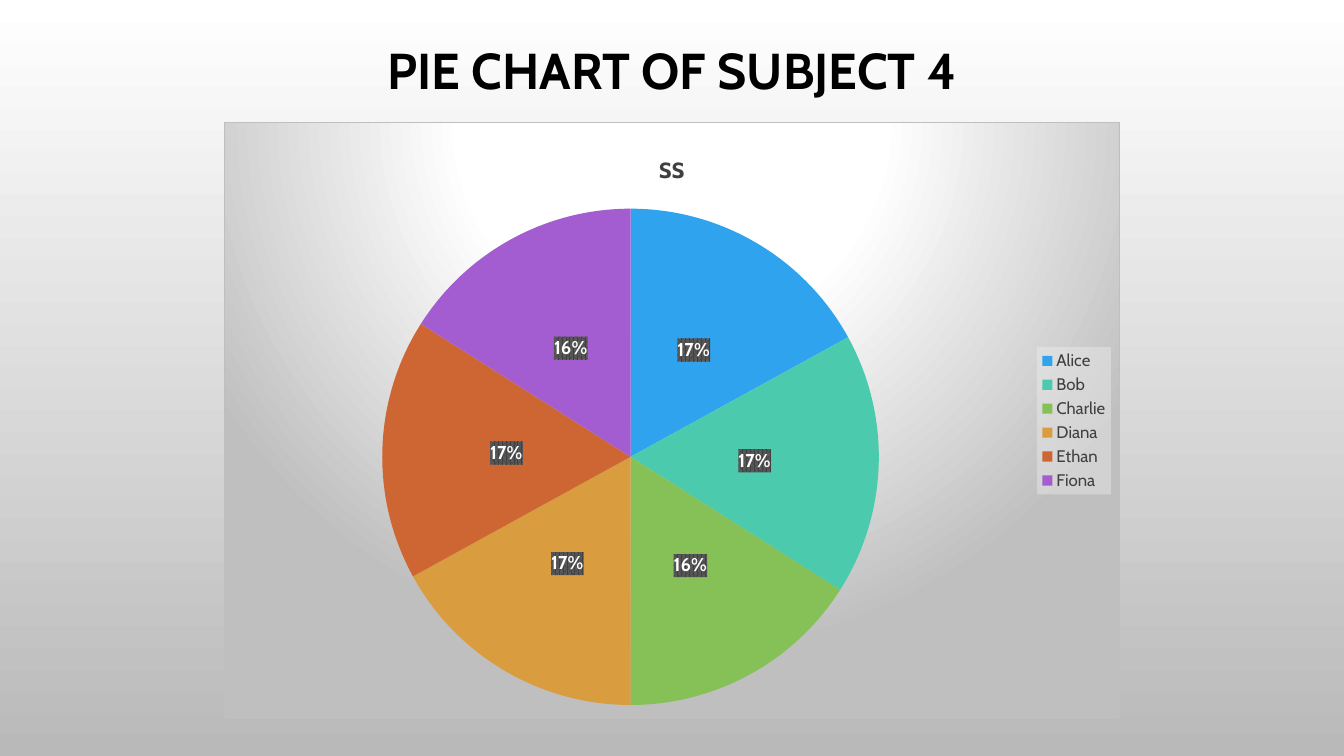
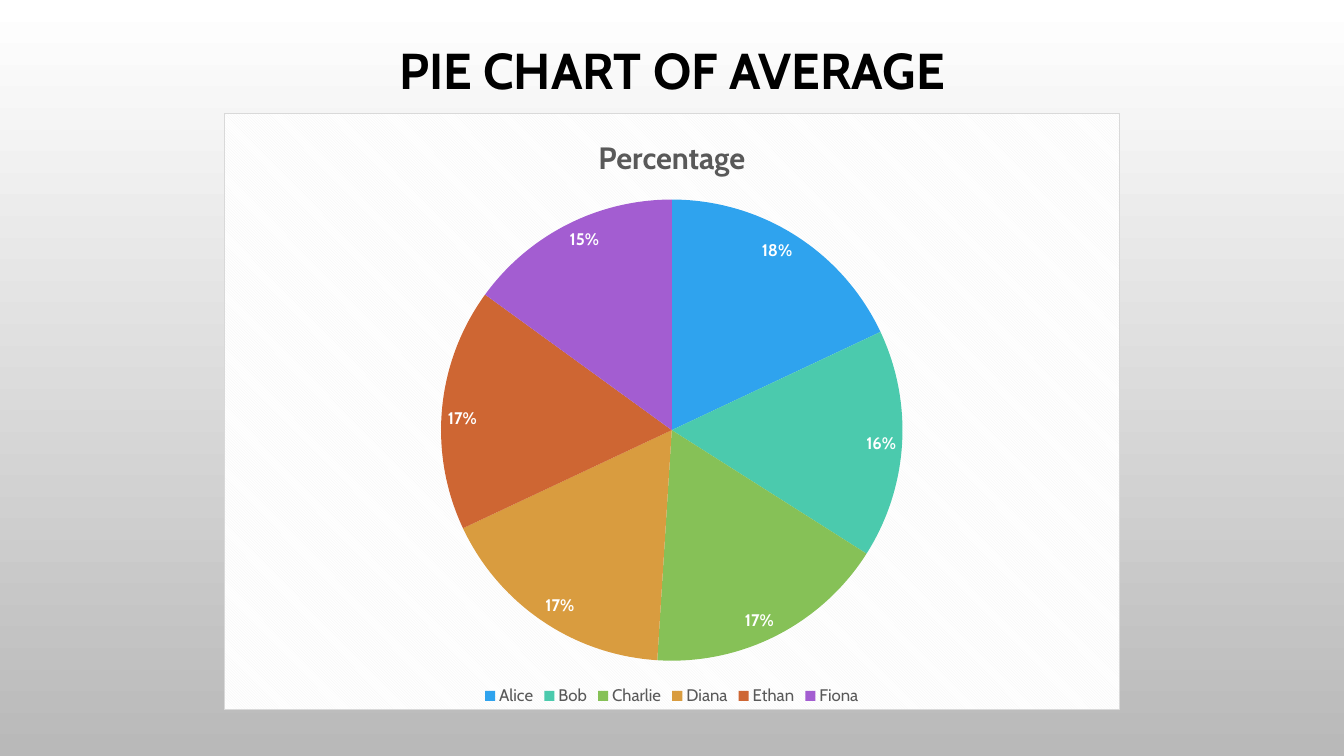
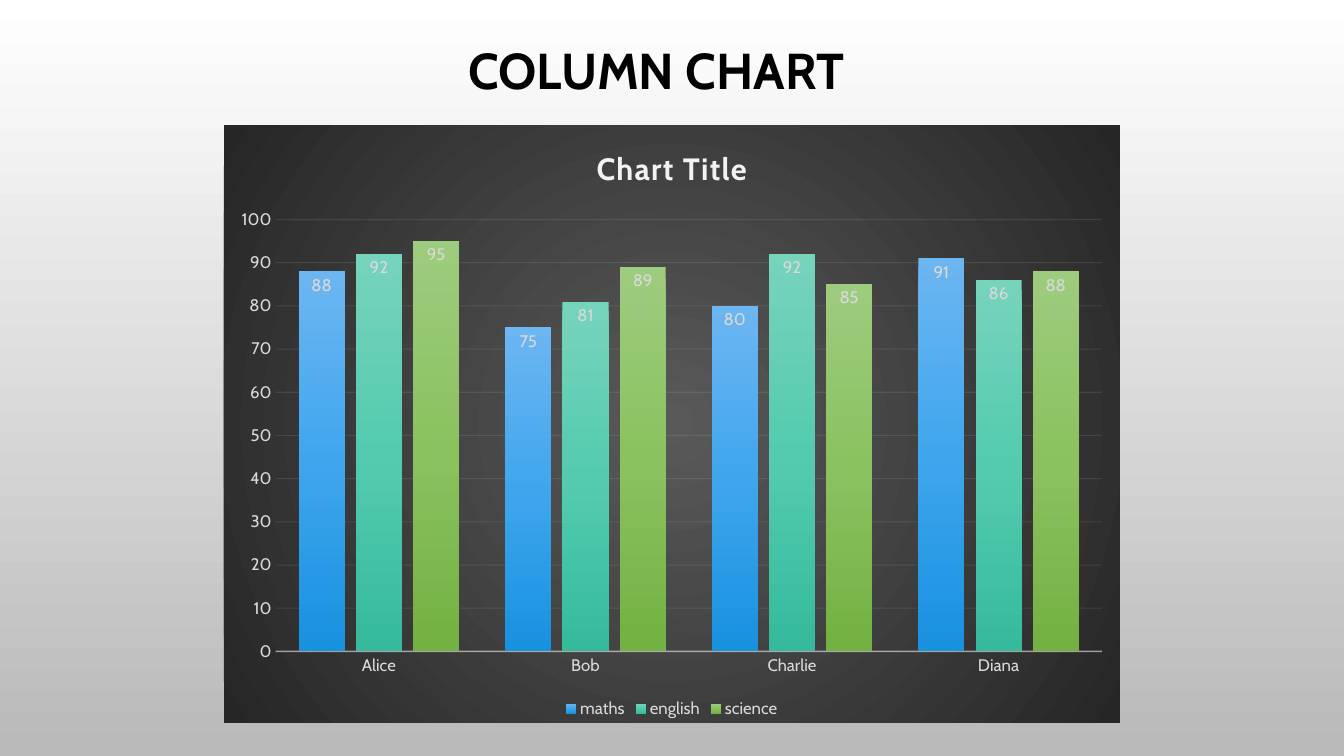
from pptx import Presentation
from pptx.chart.data import CategoryChartData
from pptx.dml.color import RGBColor
from pptx.enum.chart import XL_CHART_TYPE, XL_LABEL_POSITION, XL_LEGEND_POSITION, XL_TICK_MARK
from pptx.enum.text import MSO_ANCHOR, PP_ALIGN
from pptx.oxml import parse_xml
from pptx.oxml.ns import nsdecls
from pptx.util import Cm, Pt

FONT = "Cabin"
COLORS = {
    "white": "FFFFFF", "black": "000000", "backdrop": "B9B9B9",
    "charcoal": "404040", "slate": "595959", "night": "262626",
    "silver": "BFBFBF", "mist": "D9D9D9", "pale": "F2F2F2",
}
SLICES = ["2FA3EE", "4BCAAD", "86C157", "D99C3F", "CE6633", "A35DD1"]
COLUMN_GRADIENTS = [
    ["6CB6F1", "3FA6EE", "1891DF"],
    ["77D4BC", "54CBAF", "36BA9C"],
    ["9ECC7E", "8AC25F", "73B142"],
]
STUDENTS = ["Alice", "Bob", "Charlie", "Diana", "Ethan", "Fiona"]
TITLE_BOX = {"width": Cm(29.21), "height": Cm(3.68)}
CHART_BOX = {"left": Cm(5.64), "width": Cm(22.58), "height": Cm(15.06)}
DOWNWARD = '<a:lin ang="5400000" scaled="0"/>'


# Formatting helpers
def set_font(font, color, size, bold=False):
    values = {"name": FONT, "size": Pt(size), "bold": bold}
    for name, value in values.items():
        setattr(font, name, value)
    font.color.rgb = RGBColor.from_string(COLORS[color])


def solid_fill(color, alpha=100):
    return (f'<a:solidFill><a:srgbClr val="{COLORS[color]}">'
            f'<a:alpha val="{alpha * 1000}"/></a:srgbClr></a:solidFill>')


def pattern_fill(preset, front, back):
    return (f'<a:pattFill prst="{preset}">'
            f'<a:fgClr><a:srgbClr val="{COLORS[front]}"/></a:fgClr>'
            f'<a:bgClr><a:srgbClr val="{COLORS[back]}"/></a:bgClr></a:pattFill>')


def gradient_fill(stops, direction):
    marks = "".join(f'<a:gs pos="{position * 1000}"><a:srgbClr val="{color}"/></a:gs>'
                    for position, color in stops)
    return f'<a:gradFill rotWithShape="1"><a:gsLst>{marks}</a:gsLst>{direction}</a:gradFill>'


def circle(top, bottom):
    return (f'<a:path path="circle"><a:fillToRect l="50000" t="{top * 1000}" '
            f'r="50000" b="{bottom * 1000}"/></a:path>')


def style_box(element, fill, border=None):
    """Put fill and border just before the text properties of a chart part."""
    line = f'<a:ln w="9525">{solid_fill(border)}</a:ln>' if border else "<a:ln><a:noFill/></a:ln>"
    properties = parse_xml(f'<c:spPr {nsdecls("c", "a")}>{fill}{line}</c:spPr>')
    element.xpath("./c:txPr")[0].addprevious(properties)


def set_line(line, element, query, width, alpha):
    line.width = Pt(width)
    line.color.rgb = RGBColor.from_string(COLORS["pale"])
    color = element.xpath(f"{query}//a:srgbClr")[0]
    color.append(parse_xml(f'<a:alpha {nsdecls("a")} val="{alpha * 1000}"/>'))


# Shared slide frame: background and title
def add_titled_slide(presentation, title, left=Cm(2.33)):
    slide = presentation.slides.add_slide(presentation.slide_layouts[6])
    fill = slide.background.fill
    fill.gradient()
    fill.gradient_angle = 270
    for stop, color in zip(fill.gradient_stops, ("white", "backdrop")):
        stop.color.rgb = RGBColor.from_string(COLORS[color])
    frame = slide.shapes.add_textbox(left, 0, **TITLE_BOX).text_frame
    frame.word_wrap = True
    frame.vertical_anchor = MSO_ANCHOR.MIDDLE
    paragraph = frame.paragraphs[0]
    paragraph.alignment = PP_ALIGN.CENTER
    paragraph.line_spacing = 0.9
    run = paragraph.add_run()
    run.text = title
    set_font(run.font, "black", 36, True)
    return slide


# Shared chart frame: data, heading, legend and panel
def add_framed_chart(slide, kind, top, categories, series, heading, colors,
                     legend_position, panel, border=None):
    data = CategoryChartData()
    data.categories = categories
    for name, values in series.items():
        data.add_series(name, values)
    chart = slide.shapes.add_chart(kind, y=top, x=CHART_BOX["left"], cx=CHART_BOX["width"],
                                   cy=CHART_BOX["height"], chart_data=data).chart
    set_font(chart.font, "black", 10)
    style_box(chart.element, panel, border)
    run = chart.chart_title.text_frame.paragraphs[0].add_run()
    run.text = heading
    set_font(run.font, colors["heading"], 22, True)
    chart.has_legend = True
    chart.legend.position = legend_position
    chart.legend.include_in_layout = False
    set_font(chart.legend.font, colors["legend"], 12)
    return chart, run


def add_labels(series, position, color, size, bold=False, percent=False):
    labels = series.data_labels
    labels.show_percentage = percent
    labels.show_value = not percent
    labels.number_format = "0%" if percent else "General"
    labels.number_format_is_linked = False
    labels.position = position
    set_font(labels.font, color, size, bold)
    return labels


# Pie slides
def add_pie(slide, top, heading, values, text_color, label_position, label_size,
            legend_position, panel, border):
    colors = {"heading": text_color, "legend": text_color}
    chart, _ = add_framed_chart(slide, XL_CHART_TYPE.PIE, top, STUDENTS, {heading: values},
                                heading, colors, legend_position, panel, border)
    plot = chart.plots[0]
    plot.vary_by_categories = True
    series = plot.series[0]
    for index, color in enumerate(SLICES):
        slice_format = series.points[index].format
        slice_format.fill.solid()
        slice_format.fill.fore_color.rgb = RGBColor.from_string(color)
        slice_format.line.fill.background()
    labels = add_labels(series, label_position, "white", label_size, True, True)
    return chart, labels


def build_subject_slide(presentation):
    slide = add_titled_slide(presentation, "PIE CHART OF SUBJECT 4")
    stops = [(0, COLORS["white"]), (39, COLORS["white"]), (100, COLORS["silver"])]
    chart, labels = add_pie(slide, Cm(3.07), "ss", (17, 17, 16, 17, 17, 16), "charcoal",
                            XL_LABEL_POSITION.CENTER, 13.3, XL_LEGEND_POSITION.RIGHT,
                            gradient_fill(stops, circle(-80, 180)), "silver")
    style_box(labels._element, pattern_fill("pct75", "charcoal", "slate"))
    style_box(chart.legend._element, solid_fill("pale", 39))


def build_average_slide(presentation):
    slide = add_titled_slide(presentation, "PIE CHART OF AVERAGE")
    add_pie(slide, Cm(2.84), "Percentage", (18, 16, 17, 17, 17, 15), "slate",
            XL_LABEL_POSITION.INSIDE_END, 12, XL_LEGEND_POSITION.BOTTOM,
            pattern_fill("dkDnDiag", "pale", "white"), "mist")


# Column slide
def style_axes(chart):
    for axis in (chart.category_axis, chart.value_axis):
        axis.major_tick_mark = axis.minor_tick_mark = XL_TICK_MARK.NONE
        set_font(axis.tick_labels.font, "mist", 12)
    category, value = chart.category_axis, chart.value_axis
    set_line(category.format.line, category._element, "./c:spPr", 1, 54)
    scale = {"minimum_scale": 0, "maximum_scale": 100, "major_unit": 10}
    for name, number in scale.items():
        setattr(value, name, number)
    value.format.line.fill.background()
    set_line(value.major_gridlines.format.line, value._element, "./c:majorGridlines", 0.75, 10)


def build_column_slide(presentation):
    slide = add_titled_slide(presentation, "COLUMN CHART ", Cm(2.08))
    marks = {"maths": (88, 75, 80, 91), "english": (92, 81, 92, 86), "science": (95, 89, 85, 88)}
    panel = gradient_fill([(0, COLORS["slate"]), (100, COLORS["night"])], circle(50, 50))
    chart, heading = add_framed_chart(
        slide, XL_CHART_TYPE.COLUMN_CLUSTERED, Cm(3.15), STUDENTS[:4], marks, "Chart Title",
        {"heading": "pale", "legend": "mist"}, XL_LEGEND_POSITION.BOTTOM, panel)
    heading._r.get_or_add_rPr().set("spc", "100")
    style_axes(chart)
    plot = chart.plots[0]
    plot.vary_by_categories = False
    plot.gap_width, plot.overlap = 100, -24
    for series, colors in zip(plot.series, COLUMN_GRADIENTS):
        series.format.line.fill.background()
        fill = gradient_fill(zip((0, 50, 100), colors), DOWNWARD)
        fill = fill.replace("<a:gradFill", f'<a:gradFill {nsdecls("a")}', 1)
        series._element.xpath("./c:spPr")[0].insert(0, parse_xml(fill))
        add_labels(series, XL_LABEL_POSITION.INSIDE_END, "mist", 12)


def main():
    presentation = Presentation()
    presentation.slide_width, presentation.slide_height = Cm(33.87), Cm(19.05)
    for build in (build_subject_slide, build_average_slide, build_column_slide):
        build(presentation)
    presentation.save("out.pptx")


if __name__ == "__main__":
    main()
